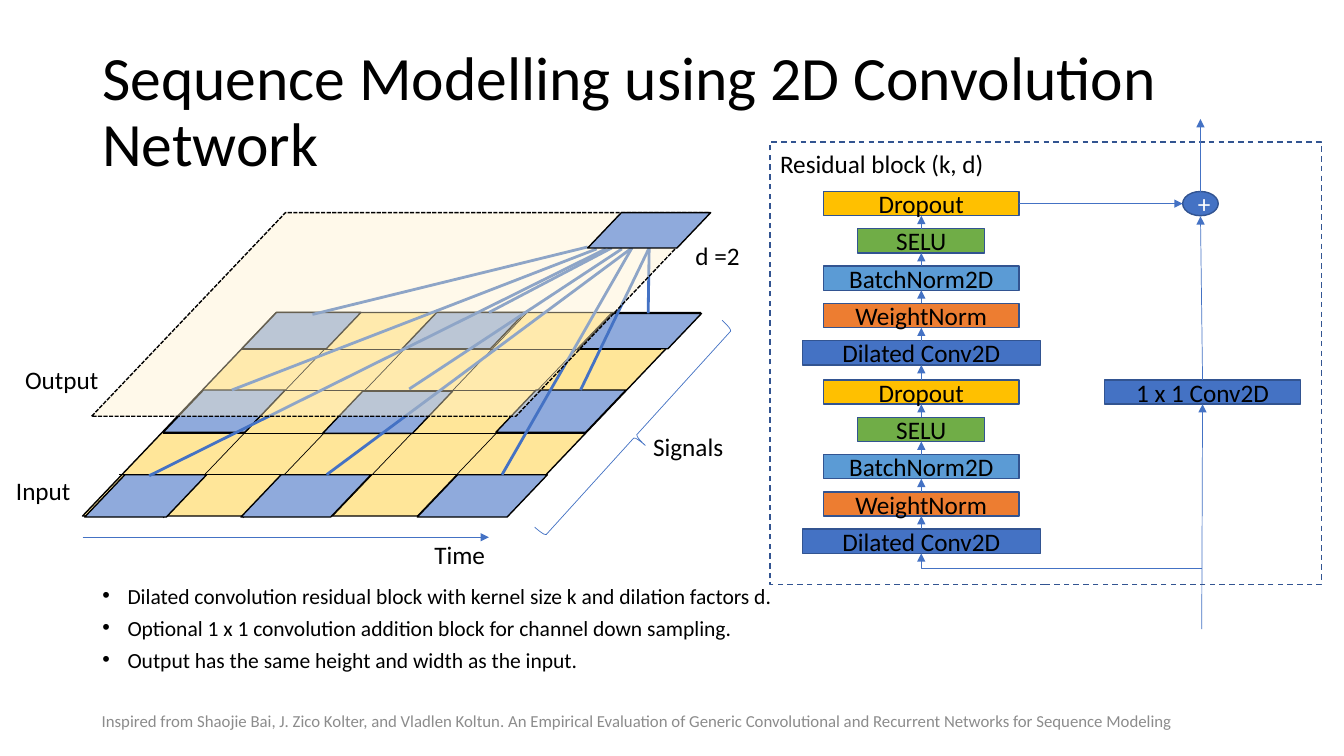
from lxml.etree import SubElement
from pptx import Presentation
from pptx.dml.color import RGBColor
from pptx.enum.dml import MSO_LINE
from pptx.enum.shapes import MSO_CONNECTOR, MSO_SHAPE
from pptx.enum.text import MSO_ANCHOR, MSO_AUTO_SIZE, PP_ALIGN
from pptx.oxml.ns import qn
from pptx.util import Pt

BLUE, EDGE, BLACK, TILE = "4472C4", "325491", "000000", "8FAADC"
TOP, BOTTOM, RIGHT = 0, 2, 3


def color(value):
    return RGBColor.from_string(value)


class Canvas:
    """Draws styled elements on one slide, with lengths in points."""

    font = "Calibri"
    slant = 0.952

    def __init__(self, slide):
        self.shapes = slide.shapes

    def style(self, para, size, ink):
        for span in para.runs:
            span.font.name = self.font
            span.font.size = Pt(size)
            span.font.color.rgb = color(ink)

    def text(self, words, left, top, width, height, size=18, ink=BLACK, wrap=True, middle=False):
        box = self.shapes.add_textbox(Pt(left), Pt(top), Pt(width), Pt(height))
        frame = box.text_frame
        frame.text = words
        frame.word_wrap = wrap
        if not wrap:
            frame.auto_size = MSO_AUTO_SIZE.SHAPE_TO_FIT_TEXT
        if middle:
            frame.vertical_anchor = MSO_ANCHOR.MIDDLE
        for para in frame.paragraphs:
            self.style(para, size, ink)
        return frame

    def bullets(self, items, left, top, width, height, size):
        frame = self.text("\n".join(items), left, top, width, height, size)
        for index, para in enumerate(frame.paragraphs):
            para.line_spacing = 0.7
            para.space_before = Pt(10 if index else 0)
            properties = para._p.get_or_add_pPr()
            properties.set("marL", str(Pt(18)))
            properties.set("indent", str(Pt(-18)))
            SubElement(properties, qn("a:buFont"), typeface="Arial")
            SubElement(properties, qn("a:buChar"), char="•")

    def shape(self, kind, left, top, width, height, fill=None, edge=EDGE, weight=1, dash=None):
        shape = self.shapes.add_shape(kind, Pt(left), Pt(top), Pt(width), Pt(height))
        shape.shadow.inherit = False
        if fill:
            shape.fill.solid()
            shape.fill.fore_color.rgb = color(fill)
        else:
            shape.fill.background()
        shape.line.color.rgb = color(edge)
        shape.line.width = Pt(weight)
        if dash:
            shape.line.dash_style = dash
        return shape

    def block(self, words, center, top, width, fill, kind=MSO_SHAPE.RECTANGLE, ink=BLACK):
        shape = self.shape(kind, center - width / 2, top, width, 17.3, fill)
        frame = shape.text_frame
        frame.text = words
        frame.vertical_anchor = MSO_ANCHOR.MIDDLE
        frame.paragraphs[0].alignment = PP_ALIGN.CENTER
        self.style(frame.paragraphs[0], 18, ink)
        return shape

    def sheet(self, left, top, width, height, fill, dash=None):
        shape = self.shape(MSO_SHAPE.PARALLELOGRAM, left, top, width, height, fill, BLACK, dash=dash)
        shape.adjustments[0] = self.slant
        return shape

    def line(self, start, end, ink=BLUE, weight=0.5, arrow=False, kind=MSO_CONNECTOR.STRAIGHT):
        connector = self.shapes.add_connector(kind, *map(Pt, (*start, *end)))
        connector.line.color.rgb = color(ink)
        connector.line.width = Pt(weight)
        if arrow:
            SubElement(connector.line._get_or_add_ln(), qn("a:tailEnd"), type="triangle")
        SubElement(connector._element.spPr, qn("a:effectLst"))
        return connector


def draw_residual_block(canvas):
    middle, skip, pitch = 658.1, 859, 26.65
    layers = [("Dilated Conv2D", 170, BLUE), ("WeightNorm", 139.7, "ED7D31"),
              ("BatchNorm2D", 139.7, "5B9BD5"), ("SELU", 90.7, "70AD47"),
              ("Dropout", 139.7, "FFC000")]
    stack = [canvas.block(words, middle, base - row * pitch, width, fill)
             for base in (378, 243.4)
             for row, (words, width, fill) in enumerate(layers)]
    for lower, upper in zip(stack, stack[1:]):
        arrow = canvas.line((middle, 0), (middle, 0), arrow=True)
        arrow.begin_connect(lower, TOP)
        arrow.end_connect(upper, BOTTOM)

    convolution = canvas.block("1 x 1 Conv2D", skip, 271.4, 139.7, BLUE)
    canvas.block("+", 857.5, 136.8, 25.4, BLUE, MSO_SHAPE.OVAL, "FFFFFF")
    canvas.line((skip, 271.4), (857.5, 154.5), arrow=True).begin_connect(convolution, TOP)
    canvas.line((728, 145.45), (844.8, 145.45), arrow=True).begin_connect(stack[-1], RIGHT)
    canvas.line((858.4, 449.3), (skip, 288.7), arrow=True).end_connect(convolution, BOTTOM)
    branch = canvas.line((858.6, 406), (middle, 395.3), arrow=True, kind=MSO_CONNECTOR.ELBOW)
    branch._element.spPr.find(qn("a:prstGeom")).set("prst", "bentConnector2")
    branch.end_connect(stack[0], BOTTOM)
    canvas.shape(MSO_SHAPE.RECTANGLE, 550.1, 101.5, 393.8, 316.1, dash=MSO_LINE.DASH)
    canvas.line((857.5, 136.8), (857.5, 85), arrow=True)
    canvas.text("Residual block (k, d)", 550.1, 102.2, 187.9, 27.4, wrap=False)


def draw_convolution(canvas):
    canvas.text("Time", 303.1, 381.6, 51.1, 28.8, wrap=False)
    canvas.sheet(59, 223.2, 441.4, 145.4, "FFE699")
    for x, y in [(437, 223.2), (376.6, 223.2), (312.5, 224.6), (255.6, 224.6)]:
        canvas.line((x, y), (x - 139, y + 145.4), BLACK)
    for left, right, y in [(172.1, 472.3, 249.8), (144.7, 447.1, 278.6),
                           (116.6, 418.3, 309.6), (85, 388.1, 339.1)]:
        canvas.line((left, y), (right, y), BLACK)

    columns = [
        ([(413.3, 223.9, 87.8, 25.2), (354.2, 278.6, 92.9, 30.2), (298.1, 339.1, 92.9, 30.2)],
         [(463.7, 177.1, 463, 223.9), (463.7, 177.1, 414.7, 278.6), (451.4, 177.1, 358.6, 339.1)]),
        ([(287.3, 223.2, 87.8, 25.9), (230.4, 279.4, 92.9, 30.2), (172.1, 339.1, 92.9, 30.2)],
         [(437, 177.1, 349.2, 223.2), (444.2, 177.8, 292.3, 277.9), (451.4, 177.1, 233.3, 339.1)]),
        ([(172.8, 223.2, 85, 25.9), (116.6, 278.6, 87.1, 30.2), (60.5, 339.1, 87.1, 30.2)],
         [(419.8, 176.4, 223.2, 224.6), (426.2, 177.8, 165.6, 278.6), (432.7, 177.8, 106.6, 339.8)]),
    ]
    for tiles, rays in columns:
        for tile in tiles:
            canvas.sheet(*tile, TILE)
        for ray in rays:
            canvas.line(ray[:2], ray[2:], weight=2)

    output = canvas.sheet(65.5, 151.9, 441.4, 145.4, "FFF2CC", MSO_LINE.SQUARE_DOT)
    tint = output._element.spPr.find(qn("a:solidFill"))[0]
    SubElement(tint, qn("a:alpha"), val="40000")
    canvas.sheet(419.8, 151.9, 87.8, 25.2, TILE)
    canvas.line((59, 383.8), (349.2, 383.8), arrow=True)
    brace = canvas.shape(MSO_SHAPE.LEFT_BRACE, 446.4, 209.5, 19.4, 199.4, edge=BLUE, weight=0.5)
    brace.adjustments[0] = 0.083
    brace.adjustments[1] = 0.517
    brace.rotation = 42.2
    brace._element.spPr.find(qn("a:xfrm")).set("flipH", "1")
    for words, left, top, width in [("Signals", 459.4, 304.6, 64.8), ("d =2", 489.6, 167.8, 46.8),
                                    ("Output", 10.8, 257, 67.7), ("Input", 4.3, 336.2, 54)]:
        canvas.text(words, left, top, width, 28.8, wrap=False)


def main():
    deck = Presentation()
    deck.slide_width, deck.slide_height = Pt(960), Pt(540)
    canvas = Canvas(deck.slides.add_slide(deck.slide_layouts[6]))
    title = canvas.text("Sequence Modelling using 2D Convolution Network",
                        66, 28.8, 828, 104.4, 44, middle=True)
    title.paragraphs[0].line_spacing = 0.9
    canvas.bullets(["Dilated convolution residual block with kernel size k and dilation factors d.",
                    "Optional 1 x 1 convolution addition block for channel down sampling.",
                    "Output has the same height and width as the input."],
                   66, 417.6, 778.3, 68.4, 15.4)
    draw_residual_block(canvas)
    draw_convolution(canvas)
    canvas.text("Inspired from Shaojie Bai, J. Zico Kolter, and Vladlen Koltun. An Empirical Evaluation "
                "of Generic Convolutional and Recurrent Networks for Sequence Modeling",
                65.5, 500.4, 828.7, 28.8, 12, "8C8C8C", middle=True)
    deck.save("out.pptx")


if __name__ == "__main__":
    main()
